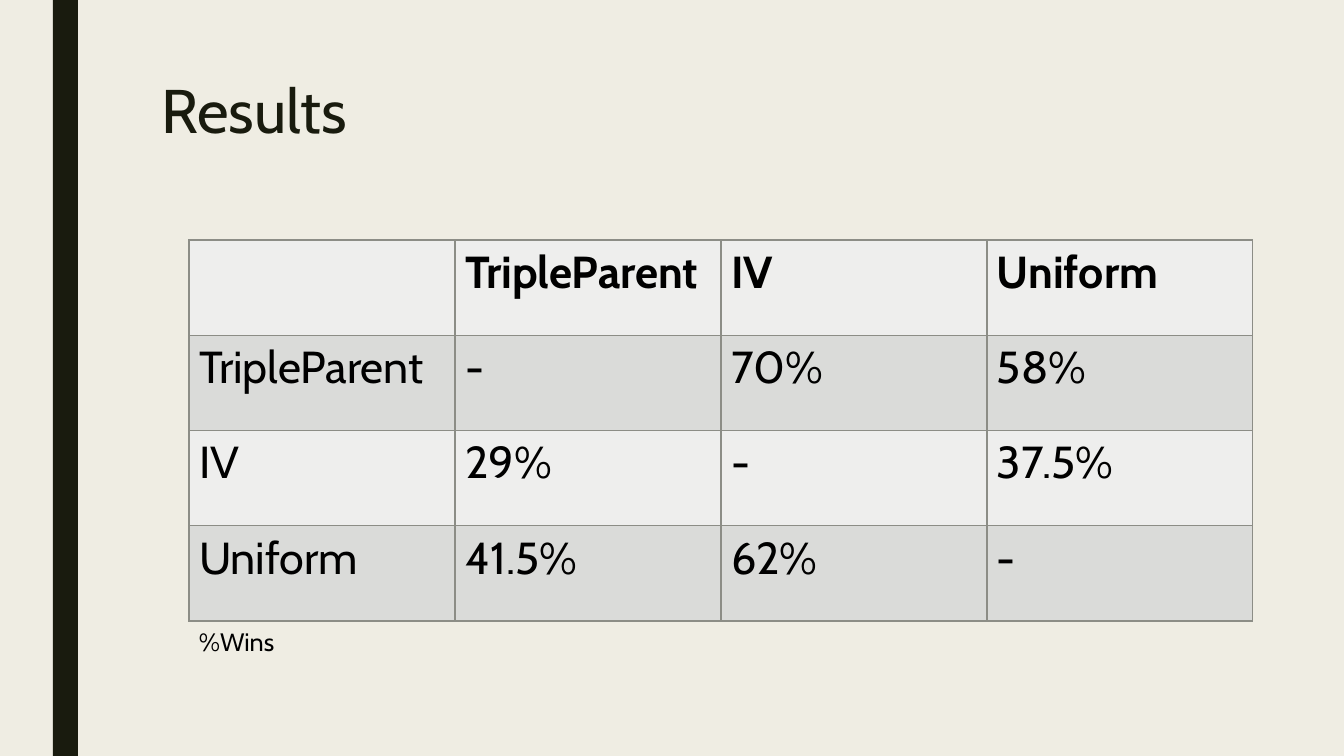
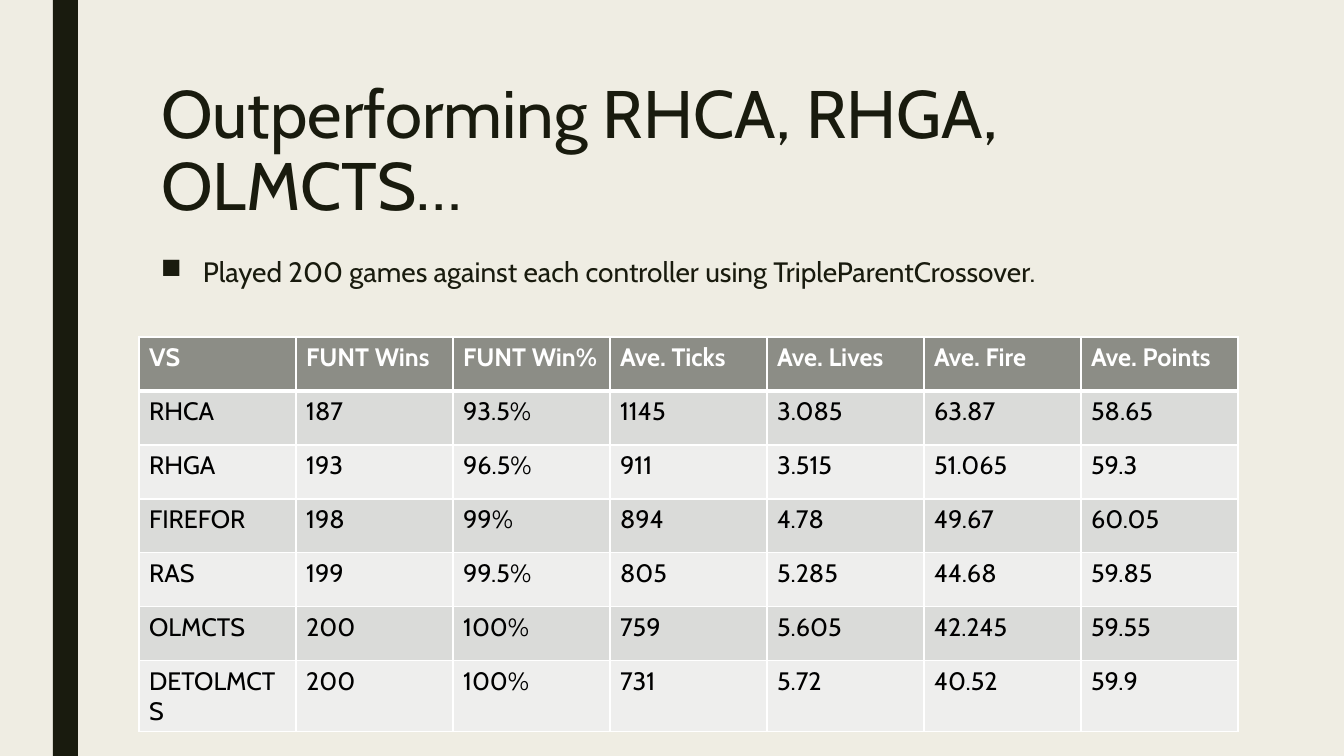
import pptx
import pptx.dml.color
import pptx.enum.shapes
import pptx.enum.text
import pptx.oxml
import pptx.oxml.ns
import pptx.util

RGB = pptx.dml.color.RGBColor
DARK = RGB(0x19, 0x1B, 0x0E)
CREAM = RGB(0xEF, 0xED, 0xE3)
GREY = RGB(0x8C, 0x8D, 0x86)
PALE = RGB(0xEE, 0xEE, 0xED)
MID = RGB(0xDA, 0xDB, 0xD9)
BLACK = RGB(0, 0, 0)
WHITE = RGB(0xFF, 0xFF, 0xFF)
FONT = "Cabin"
PX = 914400 / 100.8
SIZE = (1344, 756)
BAND = (53, 0, 25, 756)
TITLE = (151, 76, 1058, 163)

WINS = [
    ("", "TripleParent", "IV", "Uniform"),
    ("TripleParent", "-", "70%", "58%"),
    ("IV", "29%", "-", "37.5%"),
    ("Uniform", "41.5%", "62%", "-"),
]
CAPTION = "%Wins"
GAMES = "Played 200 games against each controller using TripleParentCrossover."
OPPONENTS = [
    ("VS", "FUNT Wins", "FUNT Win%", "Ave. Ticks", "Ave. Lives", "Ave. Fire", "Ave. Points"),
    ("RHCA", "187", "93.5%", "1145", "3.085", "63.87", "58.65"),
    ("RHGA", "193", "96.5%", "911", "3.515", "51.065", "59.3"),
    ("FIREFOR", "198", "99%", "894", "4.78", "49.67", "60.05"),
    ("RAS", "199", "99.5%", "805", "5.285", "44.68", "59.85"),
    ("OLMCTS", "200", "100%", "759", "5.605", "42.245", "59.55"),
    ("DETOLMCTS", "200", "100%", "731", "5.72", "40.52", "59.9"),
]


def emu(n):
    return pptx.util.Emu(round(n * PX))


def box(values):
    return [emu(v) for v in values]


def write(tf, text, size, color=BLACK, bold=False, spacing=None, before=0, after=0):
    p = tf.paragraphs[0]
    p.alignment = pptx.enum.text.PP_ALIGN.LEFT
    p.space_before, p.space_after = pptx.util.Pt(before), pptx.util.Pt(after)
    if spacing:
        p.line_spacing = spacing
    r = p.add_run()
    r.text = text
    r.font.name, r.font.size, r.font.bold = FONT, pptx.util.Pt(size), bold
    r.font.color.rgb = color
    return p


def add_slide(title, size):
    s = prs.slides.add_slide(layout)
    sp = s.shapes.title
    sp.left, sp.top, sp.width, sp.height = box(TITLE)
    tf = sp.text_frame
    tf.word_wrap = True
    tf.auto_size = pptx.enum.text.MSO_AUTO_SIZE.NONE
    tf.vertical_anchor = pptx.enum.text.MSO_ANCHOR.TOP
    write(tf, title, size, DARK, spacing=0.89)
    return s


def add_text(s, place, text, size, **style):
    tf = s.shapes.add_textbox(*box(place)).text_frame
    tf.word_wrap = True
    return write(tf, text, size, **style)


def add_bullet(p, indent):
    pPr = p._p.get_or_add_pPr()
    pPr.set("marL", str(emu(indent)))
    pPr.set("indent", str(-emu(indent)))
    ns = pptx.oxml.ns.nsdecls("a")
    pPr.append(pptx.oxml.parse_xml(f'<a:buChar {ns} char="■"/>'))


def set_borders(cell, color, top=1, bottom=1):
    tcPr = cell._tc.get_or_add_tcPr()
    ns = pptx.oxml.ns.nsdecls("a")
    for i, (side, width) in enumerate(zip("LRTB", (1, 1, top, bottom))):
        tcPr.insert(i, pptx.oxml.parse_xml(
            f'<a:ln{side} {ns} w="{pptx.util.Pt(width)}"><a:solidFill>'
            f'<a:srgbClr val="{color}"/></a:solidFill></a:ln{side}>'))


def add_table(s, place, rows, size, fills, border, head_fill, head_color, head_rule):
    grid = s.shapes.add_table(len(rows), len(rows[0]), *box(place)).table
    for col in grid.columns:
        col.width = emu(place[2] / len(rows[0]))
    for i, row in enumerate(rows):
        grid.rows[i].height = emu(place[3] / len(rows))
        for j, text in enumerate(row):
            cell = grid.cell(i, j)
            cell.fill.solid()
            cell.fill.fore_color.rgb = fills[i % 2] if i else head_fill
            set_borders(cell, border, top=head_rule if i == 1 else 1,
                        bottom=1 if i else head_rule)
            if text:
                write(cell.text_frame, text, size, BLACK if i else head_color, bold=i == 0)


prs = pptx.Presentation()
prs.slide_width, prs.slide_height = box(SIZE)
layout = prs.slide_layouts[5]
fill = prs.slide_master.background.fill
fill.solid()
fill.fore_color.rgb = CREAM

s = add_slide("Results", 44)
band = s.shapes.add_shape(pptx.enum.shapes.MSO_SHAPE.RECTANGLE, *box(BAND))
band.shadow.inherit = False
band.fill.solid()
band.fill.fore_color.rgb = DARK
band.line.fill.background()
layout.shapes.element.insert(2, band.element)
add_table(s, (189, 240, 1064, 381), WINS, 32, (PALE, MID), GREY, PALE, BLACK, 1)
add_text(s, (189, 621, 954, 40), CAPTION, 18)

s = add_slide("Outperforming RHCA, RHGA, OLMCTS…", 48)
p = add_text(s, (151, 252, 1058, 395), GAMES, 20, color=DARK, spacing=0.94, before=10, after=2)
add_bullet(p, 42)
add_table(s, (139, 337, 1099, 378), OPPONENTS, 18, (PALE, MID), WHITE, GREY, WHITE, 3)

prs.save("out.pptx")
